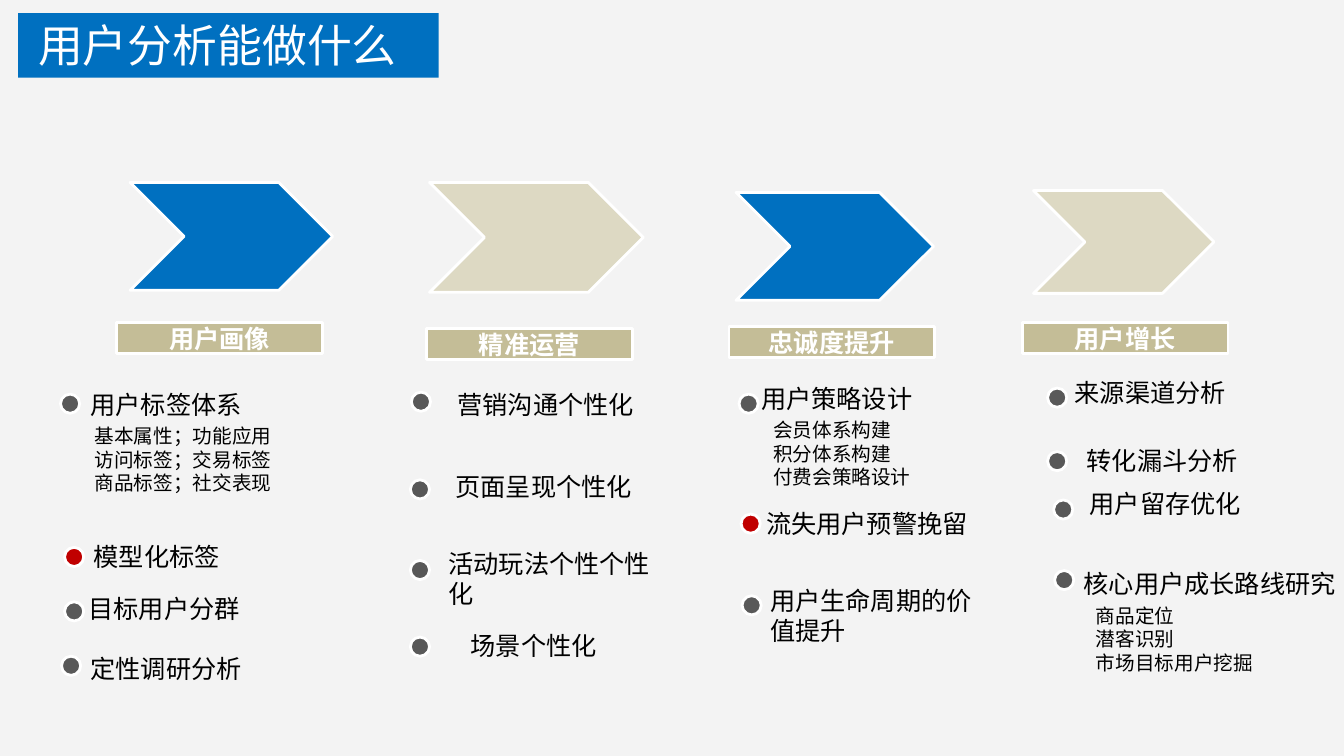
"""Builds the slide on what user analysis can do."""
from pptx import Presentation
from pptx.dml.color import RGBColor
from pptx.enum.shapes import MSO_SHAPE as Shape
from pptx.enum.text import MSO_ANCHOR as Anchor, MSO_AUTO_SIZE as AutoSize, PP_ALIGN as Align
from pptx.util import Inches, Pt

COLORS = {
    "back": "F3F3F3", "blue": "0070C0", "cream": "DDD9C3", "tan": "C4BD97",
    "gray": "595959", "red": "C00000", "white": "FFFFFF", "black": "000000",
}
TITLE = "用户分析能做什么"
HEADER_SIZE = (2.04, 0.31)
DOT = 0.19

# Each item: dot colour, dot position, text box, heading, detail lines, detail indent.
COLUMNS = [
    {
        "chevron": ("blue", (1.29, 1.81, 2.01, 1.07)),
        "header": ("用户画像", (1.16, 3.2)),
        "items": [
            ("gray", (0.6, 3.91), (0.8, 3.81, 2.64, 1.48), "用户标签体系",
             ["基本属性；功能应用", "访问标签；交易标签", "商品标签；社交表现"], 0.04),
            ("red", (0.64, 5.43), (0.83, 5.32, 1.69, 0.4), "模型化标签", [], 0),
            ("gray", (0.64, 5.97), (0.78, 5.84, 1.75, 0.4), "目标用户分群", [], 0),
            ("gray", (0.61, 6.51), (0.8, 6.43, 1.83, 0.4), "定性调研分析", [], 0),
        ],
    },
    {
        "chevron": ("cream", (4.26, 1.81, 2.12, 1.09)),
        "header": ("精准运营", (4.23, 3.26)),
        "items": [
            ("gray", (4.08, 3.89), (4.44, 3.81, 1.96, 0.4), "营销沟通个性化", [], 0),
            ("gray", (4.07, 4.76), (4.42, 4.63, 1.96, 0.4), "页面呈现个性化", [], 0),
            ("gray", (4.07, 5.56), (4.35, 5.39, 2.23, 0.71), "活动玩法个性个性化", [], 0),
            ("gray", (4.07, 6.32), (4.57, 6.2, 1.96, 0.4), "场景个性化", [], 0),
        ],
    },
    {
        "chevron": ("blue", (7.3, 1.91, 1.96, 1.07)),
        "header": ("忠诚度提升", (7.23, 3.24)),
        "items": [
            ("gray", (7.33, 3.91), (7.45, 3.75, 2.23, 1.18), "用户策略设计",
             ["会员体系构建", "积分体系构建", "付费会策略设计"], 0.12),
            ("red", (7.35, 5.1), (7.5, 4.99, 2.23, 0.4), "流失用户预警挽留", [], 0),
            ("gray", (7.36, 5.91), (7.54, 5.76, 2.35, 0.71), "用户生命周期的价值提升", [], 0),
        ],
    },
    {
        "chevron": ("cream", (10.25, 1.89, 1.79, 1.02)),
        "header": ("用户增长", (10.14, 3.2)),
        "items": [
            ("gray", (10.39, 3.85), (10.56, 3.69, 2.23, 0.4), "来源渠道分析", [], 0),
            ("gray", (10.39, 4.48), (10.68, 4.37, 2.23, 0.4), "转化漏斗分析", [], 0),
            ("gray", (10.45, 4.96), (10.71, 4.8, 2.23, 0.4), "用户留存优化", [], 0),
            ("gray", (10.46, 5.66), (10.65, 5.59, 2.72, 1.18), "核心用户成长路线研究",
             ["商品定位", "潜客识别", "市场目标用户挖掘"], 0.12),
        ],
    },
]


def rgb(name):
    return RGBColor.from_string(COLORS[name])


def add_figure(page, kind, place, fill, outlined=True):
    figure = page.shapes.add_shape(kind, *map(Inches, place))
    figure.shadow.inherit = False
    figure.fill.solid()
    figure.fill.fore_color.rgb = rgb(fill)
    if outlined:
        figure.line.color.rgb = rgb("white")
        figure.line.width = Pt(2)
    else:
        figure.line.fill.background()
    return figure


def write(para, text, size, color, font="Calibri", bold=False, align=Align.LEFT, indent=0):
    para.text = text
    para.alignment = align
    if indent:
        properties = para._p.get_or_add_pPr()
        properties.set("marL", str(Inches(indent)))
        properties.set("indent", "0")
    for span in para.runs:
        span.font.size = Pt(size)
        span.font.name = font
        span.font.bold = bold
        span.font.color.rgb = rgb(color)


def add_item(page, dot_color, dot, place, heading, details, indent):
    add_figure(page, Shape.FLOWCHART_CONNECTOR, (*dot, DOT, DOT), dot_color)
    frame = page.shapes.add_textbox(*map(Inches, place)).text_frame
    frame.word_wrap = True
    frame.auto_size = AutoSize.SHAPE_TO_FIT_TEXT
    write(frame.paragraphs[0], heading, 18, "black")
    for number, detail in enumerate(details):
        para = frame.add_paragraph()
        write(para, detail, 14, "black", indent=indent)
        if number == 0:
            para.space_before = Pt(3.5)


def add_column(page, column):
    color, place = column["chevron"]
    add_figure(page, Shape.CHEVRON, place, color)
    label, corner = column["header"]
    header = add_figure(page, Shape.RECTANGLE, (*corner, *HEADER_SIZE), "tan")
    header.text_frame.vertical_anchor = Anchor.MIDDLE
    write(header.text_frame.paragraphs[0], label, 18, "white", bold=True, align=Align.CENTER)
    for item in column["items"]:
        add_item(page, *item)


def add_title(page):
    banner = add_figure(page, Shape.RECTANGLE, (0.18, 0.13, 4.17, 0.64), "blue", outlined=False)
    frame = banner.text_frame
    frame.word_wrap = True
    frame.auto_size = AutoSize.SHAPE_TO_FIT_TEXT
    frame.vertical_anchor = Anchor.TOP
    write(frame.paragraphs[0], TITLE, 32, "white", font="Noto Sans CJK SC", indent=0.1)


def main():
    deck = Presentation()
    deck.slide_width, deck.slide_height = Inches(13.33), Inches(7.5)
    page = deck.slides.add_slide(deck.slide_layouts[6])
    page.background.fill.solid()
    page.background.fill.fore_color.rgb = rgb("back")
    for column in COLUMNS:
        add_column(page, column)
    add_title(page)
    deck.save("out.pptx")


if __name__ == "__main__":
    main()
